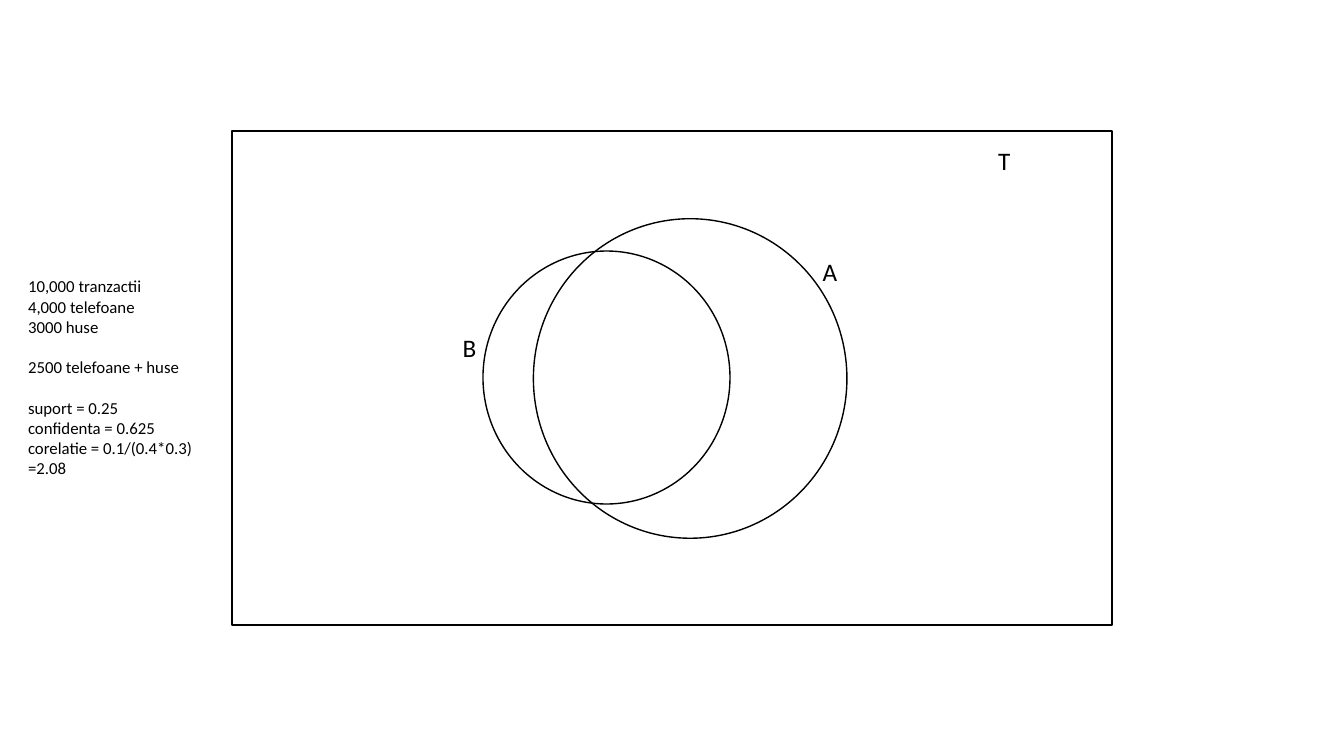
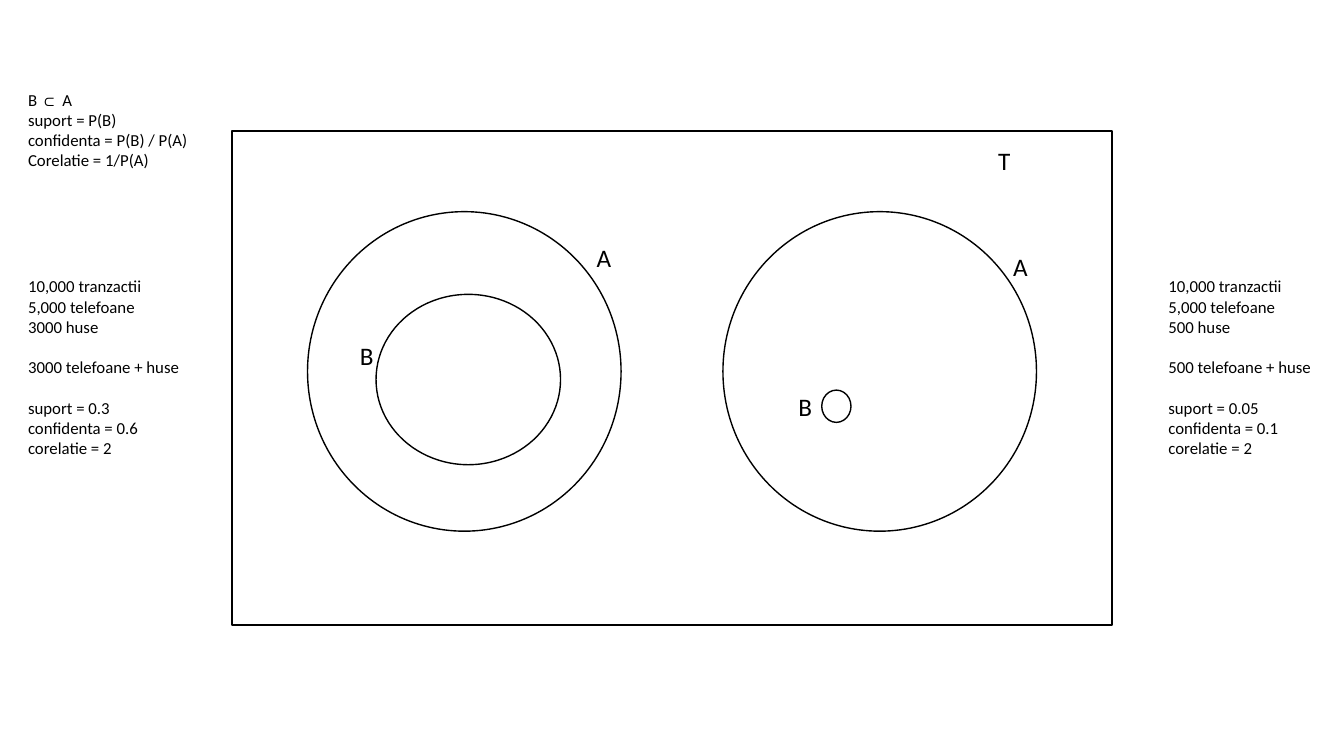
from pptx import Presentation
from pptx import util as u
from pptx.dml import color as c
from pptx.enum import shapes, text

PX = 9144  # 100 px to the inch
HUES = {"ink": "000000", "paper": "FFFFFF"}
TAGS = {"T": (32, 71), "A": (35, 40), "B": (34, 71)}
FRAME = (230, 130, 873, 490)
WIDE, TALL = 311, 317  # size of every set A
GAP = 14.6  # one line of 12 pt text


def outline(page, kind, box, fill=None):
    item = page.shapes.add_shape(kind, *[n * PX for n in box])
    item.shadow.inherit = False
    if fill:
        item.fill.solid()
        item.fill.fore_color.rgb = c.RGBColor.from_string(HUES[fill])
    else:
        item.fill.background()
    item.line.color.rgb = c.RGBColor.from_string(HUES["ink"])
    item.line.width = u.Pt(1)


def write(page, groups, box, size=12, wrap=True):
    """Write groups of lines with a gap between groups; ⊂ is set in Arial."""
    frame = page.shapes.add_textbox(*[n * PX for n in box]).text_frame
    frame.word_wrap = wrap
    frame.auto_size = text.MSO_AUTO_SIZE.SHAPE_TO_FIT_TEXT
    para = None
    for group in groups:
        for i, line in enumerate(group):
            first = para is None
            para = frame.paragraphs[0] if first else frame.add_paragraph()
            if i == 0 and not first:
                para.space_before = u.Pt(GAP)
            head, sign, tail = line.partition("⊂ ")
            for part, face in ((head, "Calibri"), (sign, "Arial"), (tail, "Calibri")):
                if part:
                    run = para.add_run()
                    run.text = part
                    run.font.name = face
                    run.font.size = u.Pt(size)
                    run.font.color.rgb = c.RGBColor.from_string(HUES["ink"])


# Each pair: place of A, box of B, place of label A, place of label B
pages = [
    {
        "pairs": [((529, 217), (479, 249, 245, 251), (806, 249), (449, 325))],
        "notes": [
            (18, 269, 212, [
                ["10,000 tranzactii", "4,000 telefoane", "3000 huse"],
                ["2500 telefoane + huse"],
                ["suport = 0.25", "confidenta = 0.625",
                 "corelatie = 0.1/(0.4*0.3) =2.08"],
            ]),
        ],
    },
    {
        "pairs": [
            ((305, 210), (373, 292, 183, 169), (582, 235), (347, 333)),
            ((717, 210), (815, 387, 29, 32), (995, 244), (782, 383)),
        ],
        "notes": [
            (18, 84, 91, [
                ["B ⊂ A", "suport = P(B)", "confidenta = P(B) / P(A)",
                 "Corelatie = 1/P(A)"],
            ]),
            (18, 269, 192, [
                ["10,000 tranzactii", "5,000 telefoane", "3000 huse"],
                ["3000 telefoane + huse"],
                ["suport = 0.3", "confidenta = 0.6", "corelatie = 2"],
            ]),
            (1149, 269, 192, [
                ["10,000 tranzactii", "5,000 telefoane", "500 huse"],
                ["500 telefoane + huse"],
                ["suport = 0.05", "confidenta = 0.1", "corelatie = 2"],
            ]),
        ],
    },
]

deck = Presentation()
deck.slide_width, deck.slide_height = 1333 * PX, 750 * PX
kinds = shapes.MSO_SHAPE

for data in pages:
    page = deck.slides.add_slide(deck.slide_layouts[6])
    outline(page, kinds.RECTANGLE, FRAME)
    tags = [("T", (980, 139))]
    for spot, inner, a_tag, b_tag in data["pairs"]:
        outline(page, kinds.OVAL, inner, fill="paper")
        outline(page, kinds.OVAL, (*spot, WIDE, TALL))
        tags += [("A", a_tag), ("B", b_tag)]
    for name, spot in tags:
        write(page, [[name]], (*spot, *TAGS[name]), size=18, wrap=False)
    for left, top, high, groups in data["notes"]:
        write(page, groups, (left, top, 196, high))

deck.save("out.pptx")
